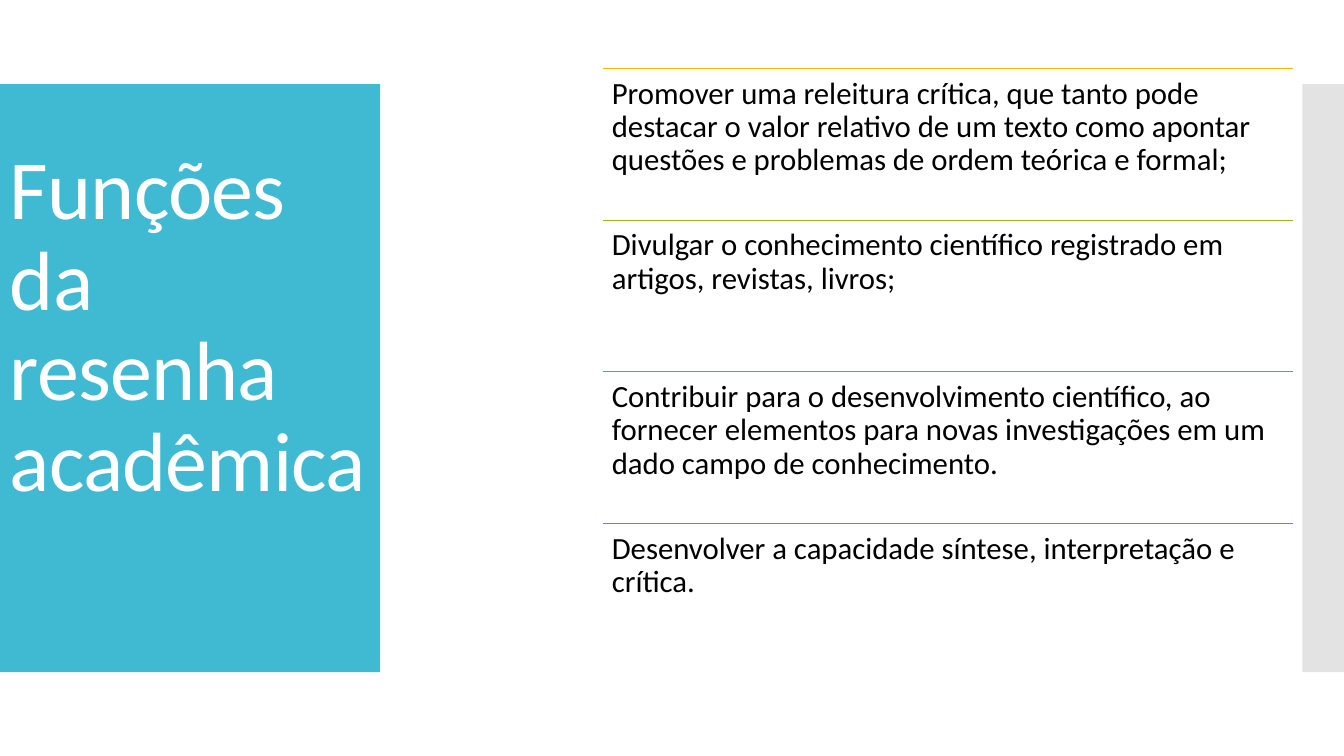
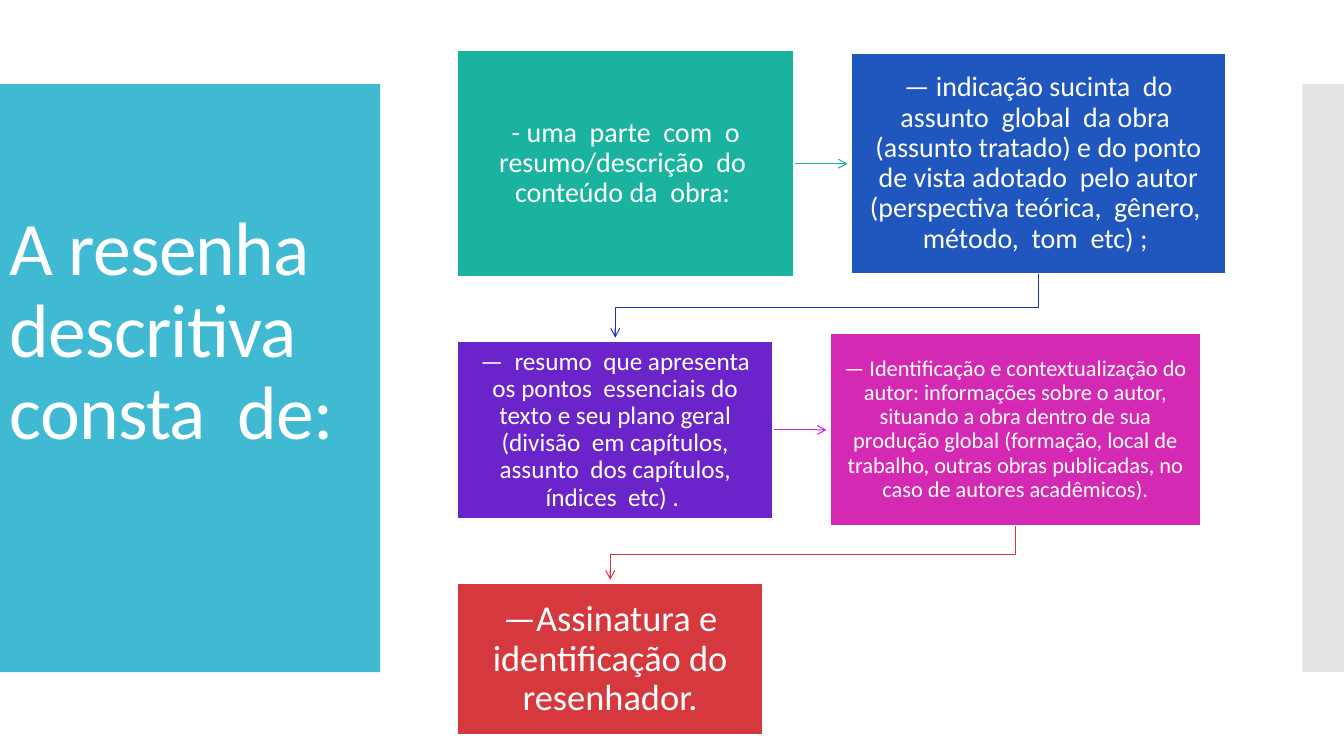
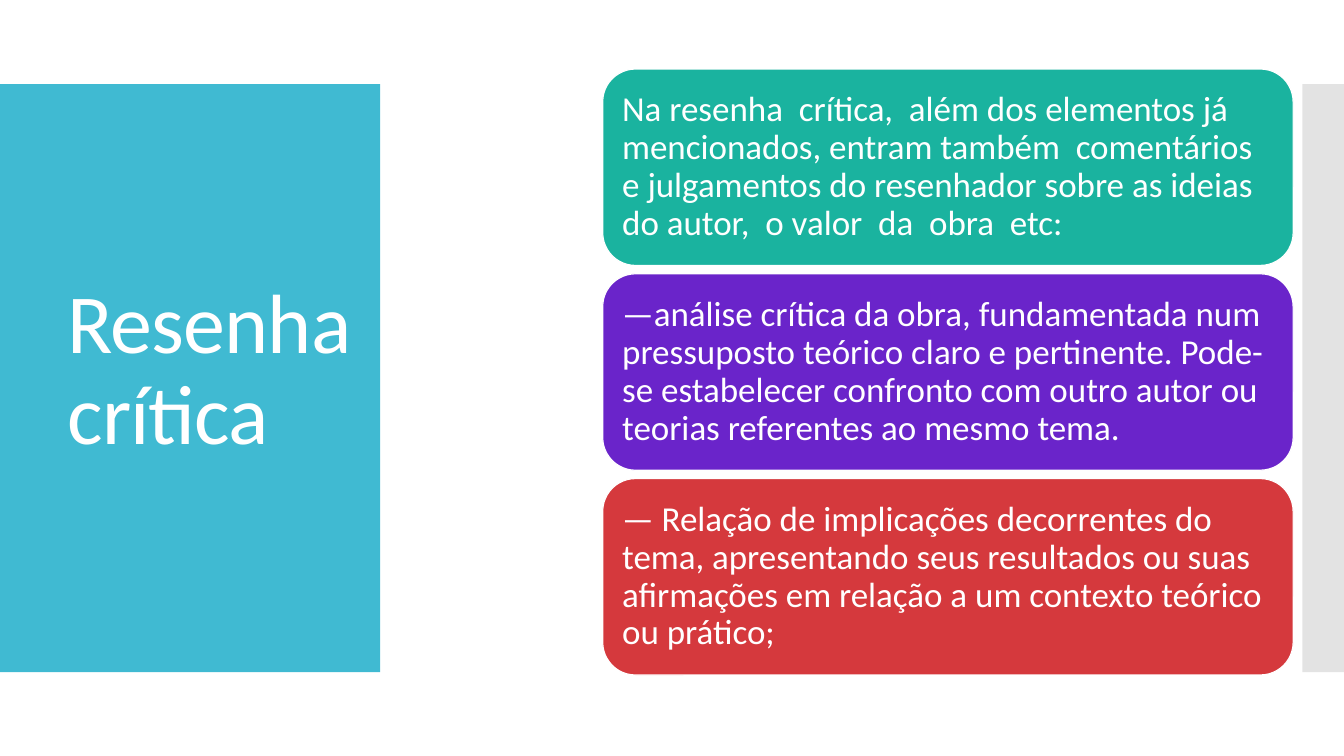
from lxml import etree
from pptx import Presentation
from pptx import util as u
from pptx.dml.color import RGBColor
from pptx.enum import shapes, text
from pptx.oxml.ns import qn

RECT = shapes.MSO_SHAPE.RECTANGLE
ROUND = shapes.MSO_SHAPE.ROUNDED_RECTANGLE
TOP, MIDDLE = text.MSO_ANCHOR.TOP, text.MSO_ANCHOR.MIDDLE
LEFT, CENTER = text.PP_ALIGN.LEFT, text.PP_ALIGN.CENTER


def rgb(value):
    return RGBColor.from_string(value)


def cm(values):
    return [u.Cm(v) for v in values]


class Deck:
    FONT = "Calibri"
    WHITE, BLACK = "FFFFFF", "000000"
    BAND, SIDE = "40BAD2", "C8C8C8"
    BAND_TOP, BAND_HEIGHT = 2.12, 14.82

    def __init__(self):
        self.prs = Presentation()
        self.prs.slide_width, self.prs.slide_height = cm((33.87, 19.05))
        self.s = None

    def slide(self, title, box, size, lift=0):
        self.s = self.prs.slides.add_slide(self.prs.slide_layouts[6])
        self.shape((0, self.BAND_TOP, 9.58, self.BAND_HEIGHT), self.BAND)
        side = self.shape((32.82, self.BAND_TOP, 1.05, self.BAND_HEIGHT), self.SIDE)
        color = side._element.spPr.find(qn("a:solidFill"))[0]
        etree.SubElement(color, qn("a:alpha")).set("val", "50000")
        sp = self.textbox(box, title, size, self.WHITE, MIDDLE, (0.25, 0.13, 0.25, 0.13 + lift))
        r = sp.text_frame.paragraphs[0].runs[0]
        r._r.get_or_add_rPr().set("spc", "-60")

    def shape(self, box, fill, kind=RECT, outline=None):
        sp = self.s.shapes.add_shape(kind, *cm(box))
        sp.shadow.inherit = False
        sp.fill.solid()
        sp.fill.fore_color.rgb = rgb(fill)
        if outline:
            self.stroke(sp, outline, 0.85)
        else:
            sp.line.fill.background()
        return sp

    def stroke(self, sp, color, width):
        sp.line.color.rgb = rgb(color)
        sp.line.width = u.Pt(width)

    def fill_text(self, sp, words, size, color, anchor, insets, align=LEFT):
        tf = sp.text_frame
        margins = zip(("left", "top", "right", "bottom"), cm(insets))
        frame = {f"margin_{side}": value for side, value in margins}
        frame |= {"word_wrap": True, "vertical_anchor": anchor}
        p = tf.paragraphs[0]
        r = p.add_run()
        r.text = words
        formats = (
            (tf, frame),
            (p, {"alignment": align, "line_spacing": 0.9}),
            (r.font, {"name": self.FONT, "size": u.Pt(size)}),
        )
        for target, values in formats:
            for name, value in values.items():
                setattr(target, name, value)
        r.font.color.rgb = rgb(color)

    def textbox(self, box, words, size, color, anchor, insets):
        sp = self.s.shapes.add_textbox(*cm(box))
        self.fill_text(sp, words, size, color, anchor, insets)
        return sp

    def card(self, box, words, size, fill, kind, insets, align):
        sp = self.shape(box, fill, kind, self.WHITE)
        self.fill_text(sp, words, size, self.WHITE, MIDDLE, insets, align)

    def line(self, start, end, color, width):
        sp = self.s.shapes.add_connector(shapes.MSO_CONNECTOR.STRAIGHT, *cm(start + end))
        self.stroke(sp, color, width)
        etree.SubElement(sp._element.spPr, qn("a:effectLst"))
        return sp

    def arrow(self, points, color):
        if len(points) == 2:
            sp = self.line(*points, color, 0.75)
        else:
            start, *rest = [cm(point) for point in points]
            builder = self.s.shapes.build_freeform(*start)
            builder.add_line_segments(rest, close=False)
            sp = builder.convert_to_shape()
            sp.shadow.inherit = False
            sp.fill.background()
            self.stroke(sp, color, 0.75)
        ln = sp._element.spPr.find(qn("a:ln"))
        etree.SubElement(ln, qn("a:tailEnd")).set("type", "arrow")


def functions(deck):
    deck.slide("Funções da resenha acadêmica", (0, 1.88, 9.75, 15.29), 60, 2.5)
    items = (
        ("FAB900", "Promover uma releitura crítica, que tanto pode destacar o valor relativo de um texto como apontar questões e problemas de ordem teórica e formal;"),
        ("90BB23", "Divulgar o conhecimento científico registrado em artigos, revistas, livros;"),
        ("EE7008", "Contribuir para o desenvolvimento científico, ao fornecer elementos para novas investigações em um dado campo de conhecimento."),
        ("1AB39F", "Desenvolver a capacidade síntese, interpretação e crítica."),
    )
    left, top, width, height = 15.19, 1.73, 17.4, 3.82
    for i, (color, words) in enumerate(items):
        y = top + i * height
        deck.line((left, y), (left + width, y), color, 0.85)
        deck.textbox((left, y, width, height), words, 22, deck.BLACK, TOP, (0.23,) * 4)


def descriptive(deck):
    deck.slide("A resenha  descritiva consta  de: ", (0, 1.78, 9.5, 15.52), 54, 2.3)
    steps = (
        ((11.53, 1.28, 8.48, 5.69), "1AB39F", "1AB39F", 20, "- uma  parte  com  o resumo/descrição  do  conteúdo da  obra: "),
        ((21.46, 1.35, 9.42, 5.54), "1F57BF", "2030C2", 20, "— indicação sucinta  do assunto  global  da obra  (assunto tratado) e do ponto de vista adotado  pelo autor (perspectiva teórica,  gênero,  método,  tom  etc) ; "),
        ((11.53, 8.61, 7.95, 4.45), "6A24CA", "C727D1", 18, "—  resumo  que apresenta os pontos  essenciais do texto e seu plano geral (divisão  em capítulos, assunto  dos capítulos, índices  etc) . "),
        ((20.93, 8.41, 9.32, 4.83), "D429B3", "D5393D", 16, "— Identificação e contextualização do autor: informações sobre o autor, situando a obra dentro de sua produção global (formação, local de trabalho, outras obras publicadas, no caso de autores acadêmicos)."),
        ((11.53, 14.71, 7.7, 3.81), "D5393D", None, 26, "—Assinatura e identificação do resenhador."),
    )
    gap = 0.1
    for step, following in zip(steps, steps[1:]):
        (x, y, w, h), (nx, ny, nw, nh) = step[0], following[0]
        if nx > x:
            middle = y + h / 2
            points = [(x + w, middle), (nx - gap, middle)]
        else:
            start, end, turn = x + w / 2, nx + nw / 2, (y + h + ny) / 2
            points = [(start, y + h), (start, turn), (end, turn), (end, ny - gap)]
        deck.arrow(points, step[2])
    for box, fill, _, size, words in steps:
        deck.card(box, words, size, fill, RECT, (0.3, 0.33, 0.3, 0.33), CENTER)


def critical(deck):
    deck.slide("Resenha crítica", (1.45, 1.73, 10.57, 15.29), 60)
    items = (
        ("1AB39F", "Na resenha  crítica,  além dos elementos já mencionados, entram também  comentários e julgamentos do resenhador sobre as ideias  do autor,  o valor  da  obra  etc:"),
        ("6A24CA", "—análise crítica da obra, fundamentada num pressuposto teórico claro e pertinente. Pode-se estabelecer confronto com outro autor ou teorias referentes ao mesmo tema."),
        ("D5393D", "— Relação de implicações decorrentes do tema, apresentando seus resultados ou suas afirmações em relação a um contexto teórico ou prático;"),
    )
    for i, (fill, words) in enumerate(items):
        deck.card((15.19, 1.74 + i * 5.16, 17.4, 4.95), words, 25, fill, ROUND, (0.25,) * 4, LEFT)


def main():
    deck = Deck()
    for build in (functions, descriptive, critical):
        build(deck)
    deck.prs.save("out.pptx")


if __name__ == "__main__":
    main()
